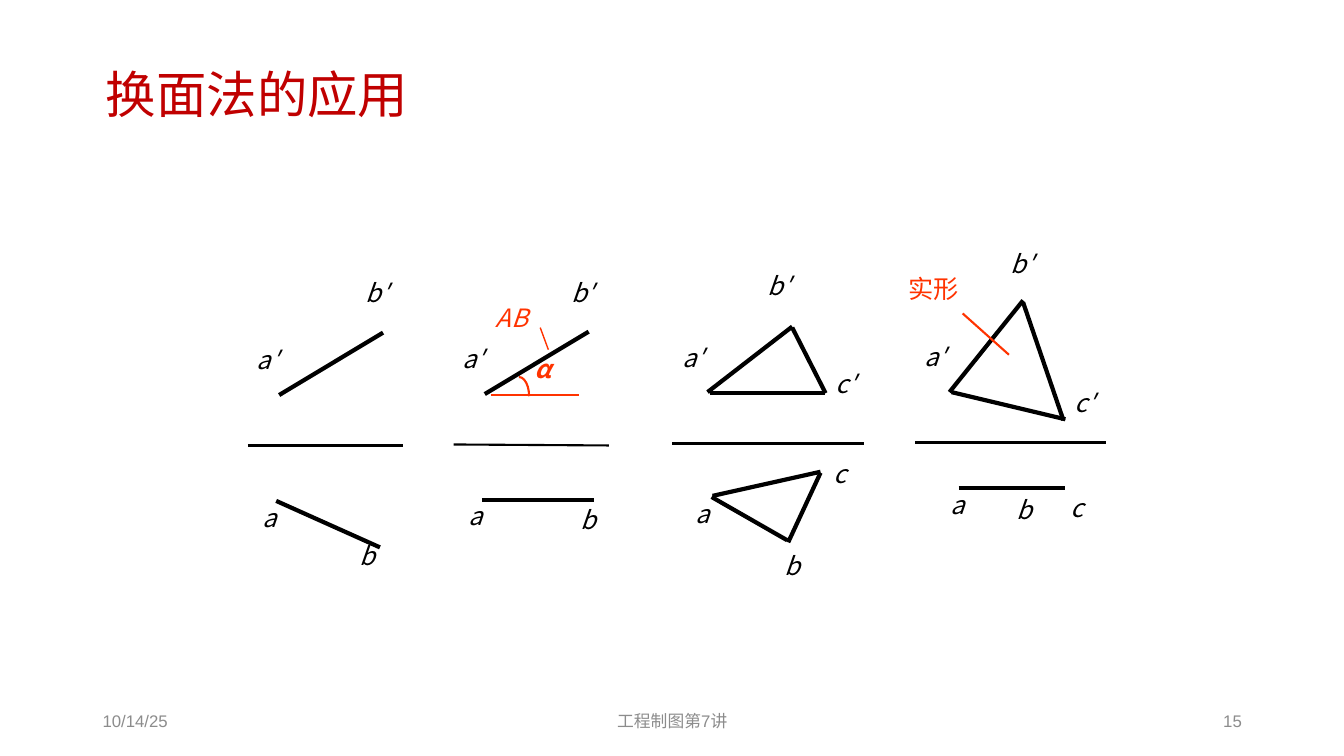
from lxml.etree import SubElement
from pptx import Presentation
from pptx.dml.color import RGBColor
from pptx.enum.shapes import MSO_CONNECTOR, MSO_SHAPE
from pptx.enum.text import MSO_ANCHOR, MSO_AUTO_SIZE, PP_ALIGN
from pptx.oxml.ns import qn
from pptx.util import Pt

COLORS = {"black": "000000", "red": "FF3300", "title": "C00000", "gray": "8C8C8C"}
CJK = "Noto Sans CJK SC"
THIN, AXIS, EDGE = 1, 1.5, 3


def write(box, text, size, color, font=CJK):
    """Put text in a box, with one face for Latin and one for Chinese."""
    frame = box.text_frame
    frame.text = text
    run = frame.paragraphs[0].runs[0]
    run.font.size = Pt(size)
    run.font.name = font
    run.font.color.rgb = RGBColor.from_string(COLORS[color])
    SubElement(run.font._element, qn("a:ea")).set("typeface", CJK)
    return frame, run


def draw(shapes, ends, width, color):
    line = shapes.add_connector(MSO_CONNECTOR.STRAIGHT, *[Pt(v) for v in ends])
    line.line.width = Pt(width)
    line.line.color.rgb = RGBColor.from_string(COLORS[color])
    SubElement(line._element.spPr, qn("a:effectLst"))


deck = Presentation()
deck.slide_width, deck.slide_height = Pt(960), Pt(540)
slide = deck.slides.add_slide(deck.slide_layouts[5])

title = slide.shapes.title
title.left, title.top, title.width, title.height = Pt(68.4), Pt(46.1), Pt(468), Pt(64.1)
frame, run = write(title, "换面法的应用", 36, "title")
frame.vertical_anchor = MSO_ANCHOR.TOP
frame.paragraphs[0].alignment = PP_ALIGN.LEFT
frame.paragraphs[0].line_spacing = 0.9

footers = [
    ("10/14/25", 66.2, 216, PP_ALIGN.LEFT),
    ("工程制图第7讲", 318.2, 324, PP_ALIGN.CENTER),
    ("15", 678.2, 216, PP_ALIGN.RIGHT),
]
for text, x, width, align in footers:
    box = slide.shapes.add_textbox(Pt(x), Pt(500.4), Pt(width), Pt(28.8))
    frame, run = write(box, text, 12, "gray", "Arial")
    frame.word_wrap = True
    frame.vertical_anchor = MSO_ANCHOR.MIDDLE
    frame.paragraphs[0].alignment = align

# Each view: axis, thick edges, red lines with width, labels with left and top
views = [
    {
        "axis": (177.1, 318.2, 288, 318.2),
        "edges": [(273.6, 237.6, 199.4, 282.2), (197.3, 357.8, 271.4, 391)],
        "marks": [],
        "labels": [("a′", 176.4, 242.6), ("b′", 254.2, 194.4),
                   ("a", 180.7, 355), ("b", 249.8, 382.3)],
    },
    {
        "axis": (324, 317.5, 434.9, 318.2),
        "edges": [(420.5, 236.9, 346.3, 281.5), (344.2, 357.1, 424.1, 357.1)],
        "marks": [(AXIS, (350.6, 282.2, 413.3, 282.2)),
                  (THIN, (385.9, 234, 391.7, 249.8))],
        "labels": [("a′", 323.3, 241.9), ("b′", 401, 194.4),
                   ("a", 327.6, 354.2), ("b", 407.5, 356.4),
                   ("α", 374.4, 249.1), ("AB", 347, 212.4)],
    },
    {
        "axis": (480.2, 316.8, 617, 316.8),
        "edges": [(565.9, 233.3, 505.4, 280.1), (565.9, 234, 589.7, 280.8),
                  (506.9, 280.8, 589, 280.8), (508.3, 355, 562.3, 385.9),
                  (509, 354.2, 586.1, 337), (586.1, 337.7, 563, 387.4)],
        "marks": [],
        "labels": [("a′", 480.2, 241.2), ("b′", 541.4, 189.4), ("c′", 589.7, 259.9),
                   ("a", 489.6, 352.1), ("b", 553, 389.5), ("c", 588.2, 324)],
    },
    {
        "axis": (653.8, 316.1, 789.8, 316.1),
        "edges": [(730.8, 214.6, 678.2, 280.1), (730.8, 216, 759.6, 300.2),
                  (679.7, 280.1, 761, 299.5), (684.7, 348.5, 761, 348.5)],
        "marks": [(AXIS, (720.7, 253.4, 687.6, 223.9))],
        "labels": [("a′", 653, 240.5), ("b′", 715, 174.2), ("c′", 760.3, 272.9),
                   ("a", 671.8, 346.3), ("b", 719.3, 349.2), ("c", 757.4, 347.8),
                   ("实形", 641.5, 191.5)],
    },
]
widths = {"a′": 32.4, "b′": 32.4, "c′": 31, "a": 26.6, "b": 26.6, "c": 25.2,
          "α": 29.5, "AB": 43.9, "实形": 64.1}
notes = ("α", "AB", "实形")

for view in views:
    shapes = slide.shapes.add_group_shape().shapes
    draw(shapes, view["axis"], AXIS, "black")
    for edge in view["edges"]:
        draw(shapes, edge, EDGE, "black")
    for width, mark in view["marks"]:
        draw(shapes, mark, width, "red")
    for text, x, y in view["labels"]:
        box = shapes.add_textbox(Pt(x), Pt(y), Pt(widths[text]), Pt(36))
        frame, run = write(box, text, 18, "red" if text in notes else "black")
        frame.word_wrap = text == "实形"
        frame.auto_size = MSO_AUTO_SIZE.SHAPE_TO_FIT_TEXT
        run.font.italic = text != "实形"
        run.font.bold = text == "α"
        if text == "α":
            arc = shapes.add_shape(MSO_SHAPE.ARC, Pt(363.6), Pt(269.3), Pt(14.4), Pt(27.4))
            arc.shadow.inherit = False
            arc.fill.background()
            arc.line.width = Pt(AXIS)
            arc.line.color.rgb = RGBColor.from_string(COLORS["red"])

deck.save("out.pptx")
